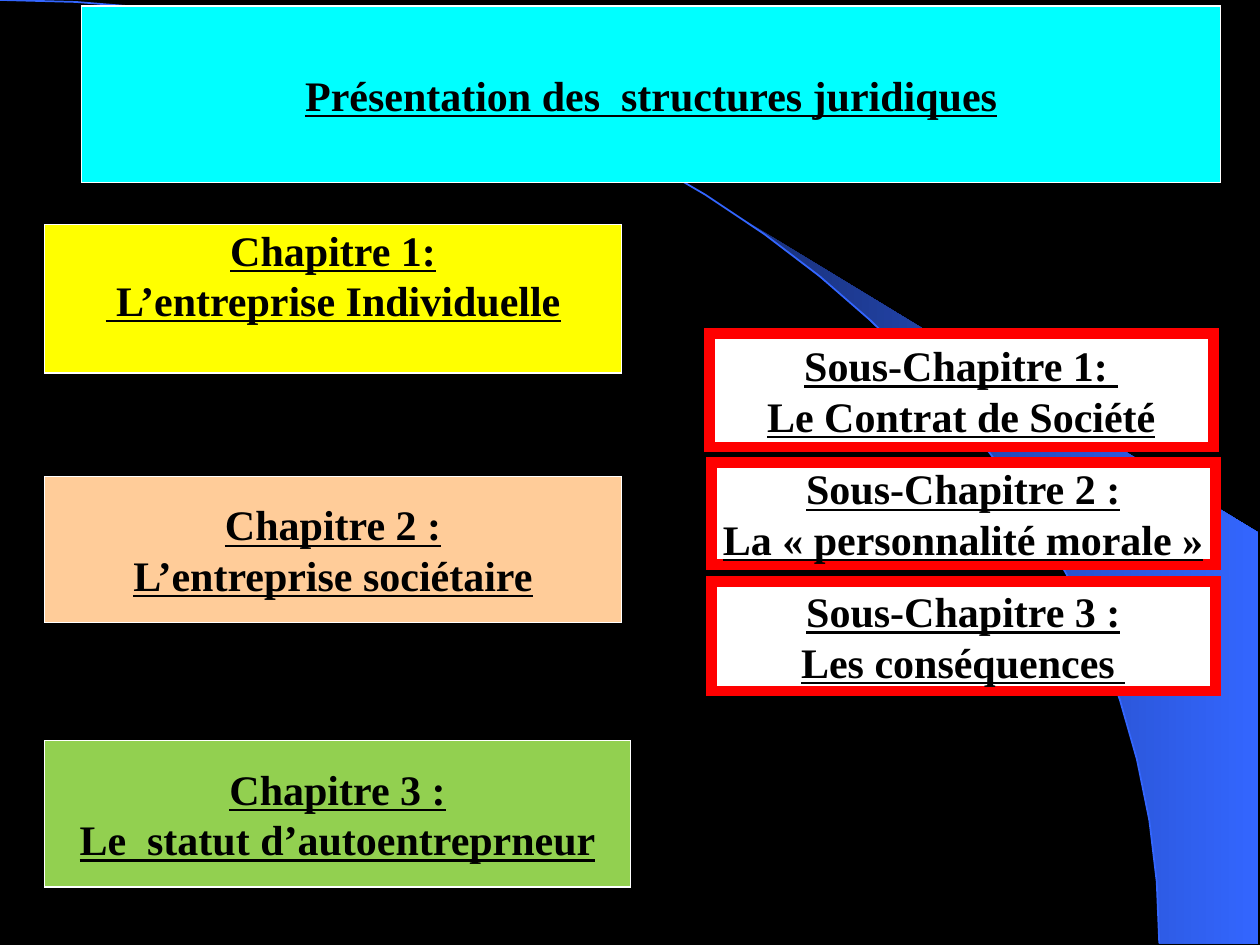
"""Build the slide presenting the legal structures of companies."""
from dataclasses import dataclass
from math import cos, radians, sin

from lxml.etree import SubElement
from pptx import Presentation
from pptx.dml.color import RGBColor as RGB
from pptx.enum.shapes import MSO_SHAPE as SHAPE
from pptx.enum.text import MSO_ANCHOR as ANCHOR, MSO_AUTO_SIZE as AUTO, PP_ALIGN as ALIGN
from pptx.oxml.ns import qn
from pptx.util import Cm, Pt


@dataclass(frozen=True)
class Theme:
    font: str = "Times New Roman"
    size: float = 24
    thin: float = 0.75
    thick: float = 6
    curve: float = 1
    black: str = "000000"
    white: str = "FFFFFF"
    red: str = "FF0000"
    cyan: str = "00FFFF"
    yellow: str = "FFFF00"
    peach: str = "FFCC99"
    green: str = "92D050"
    navy: str = "182F76"
    blue: str = "3366FF"


T = Theme()
ARC_W, ARC_H = 23.37, 19.02
EDGE = 25.37
SWOOSH_START = 39.8

CHAPTERS = [
    ((0.9, 4.52, 11.63, 3), T.yellow, ("Chapitre 1:", " L’entreprise Individuelle")),
    ((0.9, 9.6, 11.63, 2.95), T.peach, ("Chapitre 2 :", "L’entreprise sociétaire")),
    ((0.9, 14.93, 11.81, 2.95), T.green, ("Chapitre 3 :", "Le  statut d’autoentreprneur")),
]
SUBCHAPTERS = [
    ((14.3, 6.72, 10.16, 2.29), ("Sous-Chapitre 1: ", "Le Contrat de Société")),
    ((14.34, 9.32, 10.16, 2.06), ("Sous-Chapitre 2 :", "La « personnalité morale »")),
    ((14.34, 11.72, 10.16, 2.21), ("Sous-Chapitre 3 :", "Les conséquences ")),
]


def arc_points(start, steps):
    """Return points in cm on the quarter ellipse, from start degrees to 90."""
    angles = [radians(start + (90 - start) * i / steps) for i in range(steps + 1)]
    return [(ARC_W * sin(a), ARC_H * (1 - cos(a))) for a in angles]


def add_outline(slide, points, close):
    """Add a freeform through points given in cm."""
    first, *rest = [(Cm(x), Cm(y)) for x, y in points]
    builder = slide.shapes.build_freeform(*first)
    builder.add_line_segments(rest, close=close)
    sp = builder.convert_to_shape()
    sp.shadow.inherit = False
    return sp


def add_background(slide):
    """Add the black ground, the shaded swoosh and the thin arc."""
    slide.background.fill.solid()
    slide.background.fill.fore_color.rgb = RGB.from_string(T.black)

    corners = [(EDGE, ARC_H), (EDGE, 10.74)]
    swoosh = add_outline(slide, arc_points(SWOOSH_START, 14) + corners, True)
    swoosh.line.fill.background()
    swoosh.fill.gradient()
    swoosh.fill.gradient_angle = 0
    for stop, position, color in zip(swoosh.fill.gradient_stops, (0, 1), (T.navy, T.blue)):
        stop.position = position
        stop.color.rgb = RGB.from_string(color)

    arc = add_outline(slide, arc_points(0, 24), False)
    arc.fill.background()
    arc.line.color.rgb = RGB.from_string(T.blue)
    arc.line.width = Pt(T.curve)


def format_box(sp, box, lines, fill, line=T.white, width=T.thin):
    """Place a box and give it its fill, sharp outline and centred underlined lines."""
    sp.left, sp.top, sp.width, sp.height = map(Cm, box)
    sp.fill.solid()
    sp.fill.fore_color.rgb = RGB.from_string(fill)
    sp.line.color.rgb = RGB.from_string(line)
    sp.line.width = Pt(width)
    SubElement(sp.element.spPr.find(qn("a:ln")), qn("a:miter"), lim="800000")
    tf = sp.text_frame
    tf.auto_size = AUTO.NONE
    tf.word_wrap = False
    tf.vertical_anchor = ANCHOR.MIDDLE
    for i, text in enumerate(lines):
        p = tf.add_paragraph() if i else tf.paragraphs[0]
        p.alignment = ALIGN.CENTER
        r = p.add_run()
        r.text = text
        r.font.name, r.font.size = T.font, Pt(T.size)
        r.font.bold = r.font.underline = True
        r.font.color.rgb = RGB.from_string(T.black)


def add_box(slide, box, *args):
    """Add a formatted rectangle."""
    sp = slide.shapes.add_shape(SHAPE.RECTANGLE, *map(Cm, box))
    sp.shadow.inherit = False
    format_box(sp, box, *args)
    return sp


def add_title(slide):
    """Format the title and bring it in front of the background."""
    title = slide.shapes.title
    format_box(title, (1.65, 0.12, 22.96, 3.56),
               ["Présentation des  structures juridiques"], T.cyan)
    title.element.getparent().append(title.element)


def main():
    """Build and save the slide."""
    prs = Presentation()
    prs.slide_width, prs.slide_height = Cm(25.4), Cm(19.05)
    slide = prs.slides.add_slide(prs.slide_layouts.get_by_name("Title Only"))
    add_background(slide)
    add_title(slide)
    chapters = [add_box(slide, box, lines, fill) for box, fill, lines in CHAPTERS]
    chapters[0].text_frame.vertical_anchor = ANCHOR.TOP
    chapters[0].text_frame.margin_top = 0
    for box, lines in SUBCHAPTERS:
        add_box(slide, box, lines, T.white, T.red, T.thick)
    prs.save("out.pptx")


if __name__ == "__main__":
    main()
